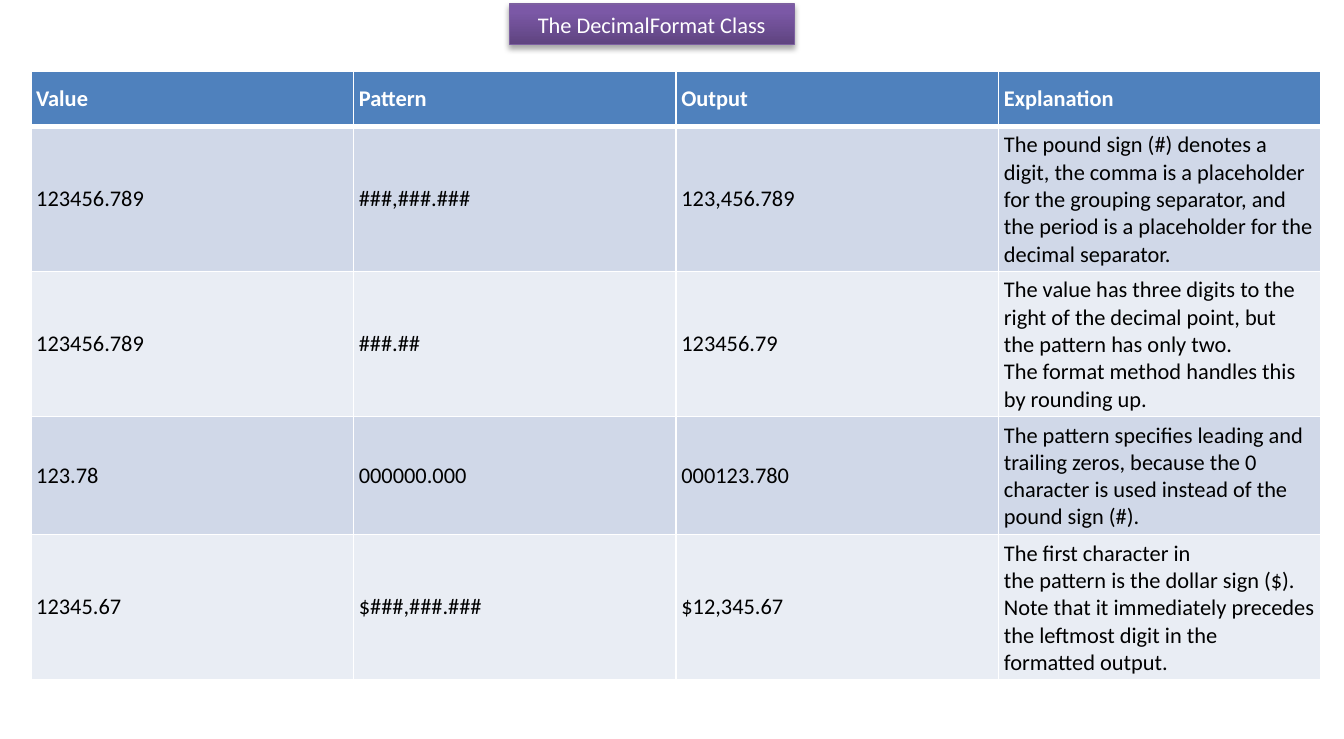
"""Build a slide with a table of DecimalFormat patterns."""
import copy

import lxml.etree
import pptx
import pptx.dml.color
import pptx.enum.shapes
import pptx.enum.text
import pptx.oxml
import pptx.oxml.ns
import pptx.util

Inches, Pt = pptx.util.Inches, pptx.util.Pt
qn = pptx.oxml.ns.qn

TITLE = "The DecimalFormat Class"
HEADINGS = ("Value", "Pattern", "Output", "Explanation")
HARD_SPACE = "~"
EXAMPLES = [
    ("123456.789", "###,###.###", "123,456.789",
     "The pound sign (#) denotes a digit, the comma is a placeholder for the "
     "grouping separator, and the period is a placeholder for the decimal separator."),
    ("123456.789", "###.##", "123456.79",
     "The~value~has three digits to the right of the decimal point, but "
     "the~pattern~has only two. The~format~method handles this by rounding up."),
    ("123.78", "000000.000", "000123.780",
     "The~pattern~specifies leading and trailing zeros, because the 0 "
     "character is used instead of the pound sign (#)."),
    ("12345.67", "$###,###.###", "$12,345.67",
     "The first character in the~pattern~is the dollar sign ($). Note that it "
     "immediately precedes the leftmost digit in the formatted~output."),
]

FONT, TEXT_SIZE = "Calibri", 12
WHITE, BLACK = "FFFFFF", "000000"
HEADER_FILL = "4F81BD"
BAND_FILLS = ("D0D8E8", "E9EDF4")
TITLE_STOPS = ((0, "5F4480"), (0.8, "7B58A6"), (1, "7C57A8"))
TITLE_LINE = "7D60A0"
TITLE_SHADOW = f"""<a:effectLst {pptx.oxml.ns.nsdecls('a')}>
<a:outerShdw blurRad="{Pt(3.1)}" dist="{Pt(1.8)}" dir="5400000" rotWithShape="0">
<a:srgbClr val="{BLACK}"><a:alpha val="35000"/></a:srgbClr></a:outerShdw></a:effectLst>"""

TABLE_LEFT, TABLE_TOP, TABLE_HEIGHT = 0.23, 0.53, 4.54
COLUMN_WIDTH, ROW_HEIGHT, CELL_MARGIN = 2.4, 0.41, 0.04
THIN, THICK = 1, 3


def rgb(value):
    return pptx.dml.color.RGBColor.from_string(value)


def style_text(paragraph, color, bold=False):
    for run in paragraph.runs:
        run.font.name, run.font.size = FONT, Pt(TEXT_SIZE)
        run.font.bold, run.font.color.rgb = bold, rgb(color)


def add_title(slide):
    title = slide.shapes.add_shape(
        pptx.enum.shapes.MSO_SHAPE.RECTANGLE,
        Inches(3.79), Inches(0.03), Inches(2.12), Inches(0.3))
    title.fill.gradient()
    title.fill.gradient_angle = 90
    stop_list = title._element.spPr.find(qn("a:gradFill")).find(qn("a:gsLst"))
    stop_list.append(copy.deepcopy(stop_list[-1]))
    for stop, (position, color) in zip(title.fill.gradient_stops, TITLE_STOPS):
        stop.position, stop.color.rgb = position, rgb(color)
    title.line.color.rgb, title.line.width = rgb(TITLE_LINE), Pt(0.75)
    title._element.spPr.append(pptx.oxml.parse_xml(TITLE_SHADOW))
    frame = title.text_frame
    frame.text = TITLE
    frame.word_wrap = True
    frame.auto_size = pptx.enum.text.MSO_AUTO_SIZE.SHAPE_TO_FIT_TEXT
    frame.paragraphs[0].alignment = pptx.enum.text.PP_ALIGN.CENTER
    style_text(frame.paragraphs[0], WHITE)


def add_borders(cell, top, bottom):
    properties = cell._tc.get_or_add_tcPr()
    sides = (("lnL", THIN), ("lnR", THIN), ("lnT", top), ("lnB", bottom))
    for index, (side, width) in enumerate(sides):
        border = lxml.etree.Element(qn(f"a:{side}"), w=str(Pt(width)))
        fill = lxml.etree.SubElement(border, qn("a:solidFill"))
        lxml.etree.SubElement(fill, qn("a:srgbClr"), val=WHITE)
        properties.insert(index, border)


def add_examples(slide):
    rows = [HEADINGS, *EXAMPLES]
    frame = slide.shapes.add_table(
        len(rows), len(HEADINGS), Inches(TABLE_LEFT), Inches(TABLE_TOP),
        Inches(COLUMN_WIDTH * len(HEADINGS)), Inches(TABLE_HEIGHT))
    table = frame.table
    for row_index, texts in enumerate(rows):
        header = row_index == 0
        table.rows[row_index].height = Inches(ROW_HEIGHT)
        fill = HEADER_FILL if header else BAND_FILLS[(row_index - 1) % 2]
        for column_index, text in enumerate(texts):
            cell = table.cell(row_index, column_index)
            cell.text = text.replace(HARD_SPACE, chr(160))
            cell.vertical_anchor = pptx.enum.text.MSO_ANCHOR.MIDDLE
            cell.margin_left = cell.margin_right = Inches(CELL_MARGIN)
            cell.margin_top = cell.margin_bottom = Inches(CELL_MARGIN)
            cell.fill.solid()
            cell.fill.fore_color.rgb = rgb(fill)
            add_borders(cell, THICK if row_index == 1 else THIN,
                        THICK if header else THIN)
            style_text(cell.text_frame.paragraphs[0],
                       WHITE if header else BLACK, bold=header)
    frame.height = Inches(TABLE_HEIGHT)


def main():
    deck = pptx.Presentation()
    deck.slide_width, deck.slide_height = Inches(10), Inches(5.5)
    slide = deck.slides.add_slide(deck.slide_layouts[6])
    add_title(slide)
    add_examples(slide)
    deck.save("out.pptx")


if __name__ == "__main__":
    main()
